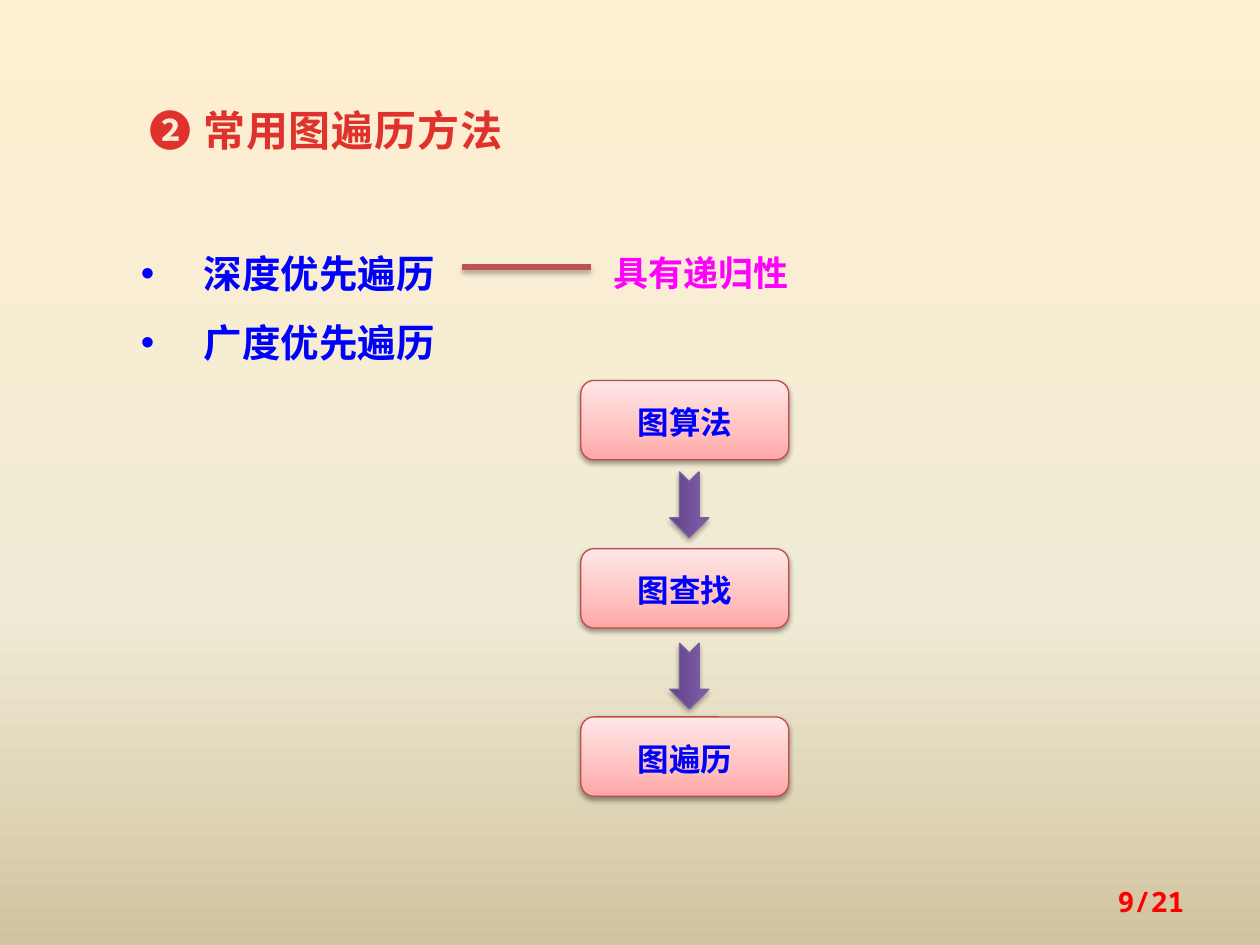
from lxml.etree import SubElement
from pptx import Presentation
from pptx.dml.color import RGBColor
from pptx.enum.shapes import MSO_CONNECTOR as CONN, MSO_SHAPE as SHAPE
from pptx.enum.text import MSO_ANCHOR as ANCHOR, MSO_AUTO_SIZE as FIT, PP_ALIGN as ALIGN
from pptx.oxml.ns import qn
from pptx.util import Inches, Pt

COLORS = {"blue": "0000FF", "magenta": "FF00FF", "red": "FF0000",
          "link": "C0504D", "box_line": "BF4C48", "arrow_line": "7D60A0",
          "shadow": "000000"}
# Gradient stops: percent and colour
GRADIENTS = {
    "background": [(0, "FFEFD1"), (65, "F0EBD5"), (100, "D1C39F")],
    "title": [(25, "E0322D"), (100, "A2201C")],
    "box": [(0, "FFA6A5"), (35, "FFC0BF"), (100, "FFE7E7")],
    "arrow": [(0, "5F4480"), (80, "7B58A6"), (100, "7C57A8")],
}
CJK, SERIF, MONO = "Noto Sans CJK SC", "Times New Roman", "Noto Sans Mono"
DOWN, UP = 270, 90


def rgb(name):
    return RGBColor.from_string(COLORS[name])


def set_gradient(fill, element, name, angle):
    fill.gradient()
    fill.gradient_angle = angle
    stops = element.find(".//" + qn("a:gsLst"))
    for old in list(stops):
        stops.remove(old)
    for percent, color in GRADIENTS[name]:
        gs = SubElement(stops, qn("a:gs"), pos=str(percent * 1000))
        SubElement(gs, qn("a:srgbClr"), val=color)


def add_shadow(shape, alpha, dist):
    sp_pr = shape.element.spPr
    effects = SubElement(sp_pr, qn("a:effectLst"))
    outer = SubElement(effects, qn("a:outerShdw"), blurRad=str(Pt(3.1)),
                       dist=str(Pt(dist)), dir="5400000", rotWithShape="0")
    color = SubElement(outer, qn("a:srgbClr"), val=COLORS["shadow"])
    SubElement(color, qn("a:alpha"), val=str(alpha * 1000))


def set_line(shape, color, width):
    shape.line.color.rgb = rgb(color)
    shape.line.width = Pt(width)


def write(shape, lines, size, font, color=None, anchor=ANCHOR.TOP, **paragraph):
    """Fill a shape with bold paragraphs and return the last run."""
    tf = shape.text_frame
    for name, value in dict(word_wrap=True, auto_size=FIT.NONE,
                            vertical_anchor=anchor).items():
        setattr(tf, name, value)
    for i, line in enumerate(lines):
        p = tf.add_paragraph() if i else tf.paragraphs[0]
        for name, value in paragraph.items():
            setattr(p, name, value)
        r = p.add_run()
        r.text = line
        for name, value in dict(size=Pt(size), bold=True, name=font).items():
            setattr(r.font, name, value)
        if color:
            r.font.color.rgb = rgb(color)
        SubElement(r.font._element, qn("a:ea"), typeface=CJK)
    return r


def add_text(slide, box, *args, **kwargs):
    s = slide.shapes.add_textbox(*map(Inches, box))
    write(s, *args, **kwargs)
    return s


def add_title(slide, text):
    s = slide.shapes.title
    s.left, s.top, s.width, s.height = map(Inches, (1.09, 0.76, 3.75, 0.52))
    r = write(s, [text], 24, CJK, line_spacing=Pt(30), alignment=ALIGN.LEFT)
    set_gradient(r.font.fill, s.element, "title", DOWN)
    r.font._element.set("spc", "50")


def add_bullets(shape):
    for p in shape.text_frame.paragraphs:
        p_pr = p._p.get_or_add_pPr()
        p_pr.set("marL", str(Inches(0.5)))
        p_pr.set("indent", str(Inches(-0.5)))
        SubElement(p_pr, qn("a:buFont"), typeface="Arial")
        SubElement(p_pr, qn("a:buChar"), char="•")


def add_link(slide, x1, x2, y):
    line = slide.shapes.add_connector(
        CONN.STRAIGHT, Inches(x1), Inches(y), Inches(x2), Inches(y))
    set_line(line, "link", 3)
    add_shadow(line, 35, 1.8)


def add_block(slide, kind, box, style, shadow):
    s = slide.shapes.add_shape(kind, *map(Inches, box))
    set_gradient(s.fill, s.element, style, UP)
    set_line(s, style + "_line", 0.75)
    add_shadow(s, *shadow)
    return s


def add_step(slide, top, text):
    s = add_block(slide, SHAPE.ROUNDED_RECTANGLE, (4.61, top, 1.65, 0.63),
                  "box", (38, 1.6))
    write(s, [text], 18, CJK, "blue", ANCHOR.MIDDLE,
          alignment=ALIGN.CENTER, line_spacing=1.1)


def add_arrow(slide, top):
    s = add_block(slide, SHAPE.NOTCHED_RIGHT_ARROW, (5.21, top, 0.52, 0.31),
                  "arrow", (35, 1.8))
    s.rotation = 90


def main():
    prs = Presentation()
    prs.slide_width, prs.slide_height = Inches(10), Inches(7.5)
    slide = prs.slides.add_slide(prs.slide_layouts[5])
    set_gradient(slide.background.fill, slide.element, "background", DOWN)

    # Title and traversal methods
    add_title(slide, "❷ 常用图遍历方法")
    methods = add_text(slide, (1.02, 1.75, 2.81, 1.14),
                       ["深度优先遍历", "广度优先遍历"], 22, SERIF, "blue",
                       line_spacing=1.5)
    add_bullets(methods)

    # Remark on the first method
    add_text(slide, (4.77, 1.86, 1.88, 0.52), ["具有递归性"], 20, SERIF,
             "magenta", line_spacing=Pt(30))
    add_link(slide, 3.67, 4.69, 2.12)

    # Chain of steps with arrows between them
    steps = ["图算法", "图查找", "图遍历"]
    for i, step in enumerate(steps):
        add_step(slide, 3.02 + 1.335 * i, step)
        if i < len(steps) - 1:
            add_arrow(slide, 3.85 + 1.36 * i)

    # Page number
    add_text(slide, (7.17, 6.95, 2.33, 0.4), ["9/21"], 16, MONO, "red",
             ANCHOR.MIDDLE, alignment=ALIGN.RIGHT)
    prs.save("out.pptx")


if __name__ == "__main__":
    main()
